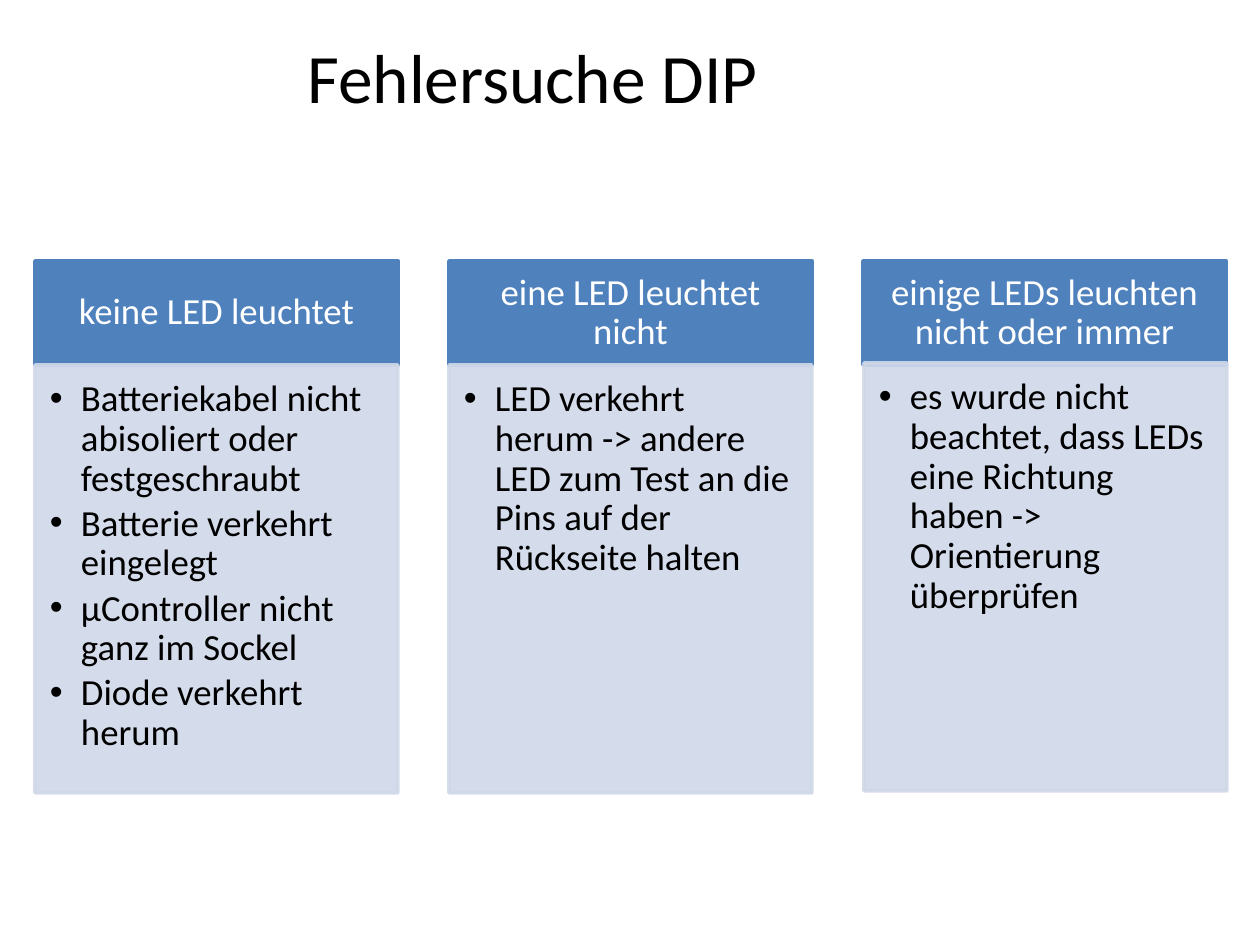
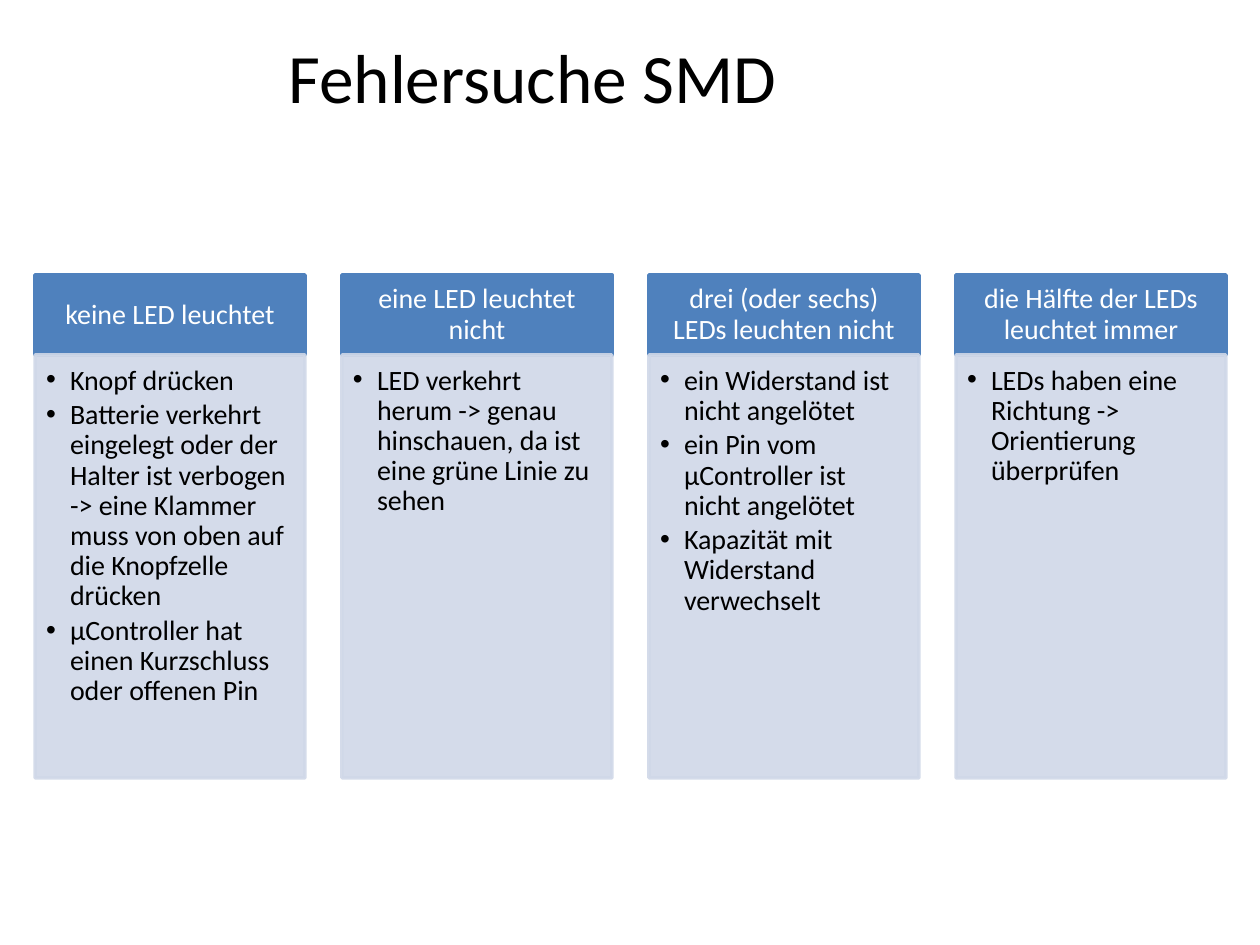
from lxml import etree
from pptx import Presentation
from pptx.dml.color import RGBColor
from pptx.enum.shapes import MSO_SHAPE
from pptx.enum.text import MSO_ANCHOR, PP_ALIGN
from pptx.oxml.ns import qn
from pptx.util import Pt

RECT = MSO_SHAPE.RECTANGLE
LEFT, CENTER = PP_ALIGN.LEFT, PP_ALIGN.CENTER
TOP, MIDDLE = MSO_ANCHOR.TOP, MSO_ANCHOR.MIDDLE
SCALE = 914400 / 126
FONT = "Calibri"
COLORS = {"head": "4F81BD", "body": "D0D8E8", "dark": "000000", "light": "FFFFFF"}
EDGE = 35

WIDE = {
    "size": 21, "width": 363, "pitch": 414, "top": 261, "head": 104, "body": 428,
    "head_pad": (20, 11, 20, 11), "body_pad": (15, 15, 20, 23), "indent": 31,
}
SLIM = {
    "size": 16, "width": 270, "pitch": 307, "top": 275, "head": 80, "body": 423,
    "head_pad": (15, 9, 15, 9), "body_pad": (11, 11, 15, 17), "indent": 24,
}
DIP = [
    ("keine LED leuchtet", [
        "Batteriekabel nicht abisoliert oder festgeschraubt",
        "Batterie verkehrt eingelegt",
        "µController nicht ganz im Sockel",
        "Diode verkehrt herum",
    ], (0, 0)),
    ("eine LED leuchtet nicht", [
        "LED verkehrt herum -> andere LED zum Test an die Pins auf der Rückseite halten",
    ], (0, 0)),
    ("einige LEDs leuchten nicht oder immer", [
        "es wurde nicht beachtet, dass LEDs eine Richtung haben -> Orientierung überprüfen",
    ], (1, -2)),
]
SMD = [
    ("keine LED leuchtet", [
        "Knopf drücken",
        "Batterie verkehrt eingelegt oder der Halter ist verbogen -> eine Klammer "
        "muss von oben auf die Knopfzelle drücken",
        "µController hat einen Kurzschluss oder offenen Pin",
    ], (0, 0)),
    ("eine LED leuchtet nicht", [
        "LED verkehrt herum -> genau hinschauen, da ist eine grüne Linie zu sehen",
    ], (0, 0)),
    ("drei (oder sechs) LEDs leuchten nicht", [
        "ein Widerstand ist nicht angelötet",
        "ein Pin vom µController ist nicht angelötet",
        "Kapazität mit Widerstand verwechselt",
    ], (0, 0)),
    ("die Hälfte der LEDs leuchtet immer", [
        "LEDs haben eine Richtung -> Orientierung überprüfen",
    ], (0, 0)),
]


def px(count):
    return round(count * SCALE)


def rgb(name):
    return RGBColor.from_string(COLORS[name])


def bullet(para, indent):
    props = para._p.get_or_add_pPr()
    props.set("marL", str(px(indent)))
    props.set("indent", str(-px(indent)))
    etree.SubElement(props, qn("a:buFont")).set("typeface", "Arial")
    etree.SubElement(props, qn("a:buChar")).set("char", "•")


def write(shape, lines, size, color="dark", align=LEFT, anchor=TOP,
          pad=None, indent=0, line=None, after=0):
    frame = shape.text_frame
    frame.word_wrap = True
    frame.vertical_anchor = anchor
    if pad:
        (frame.margin_left, frame.margin_top,
         frame.margin_right, frame.margin_bottom) = map(px, pad)
    for i, text in enumerate(lines):
        para = frame.add_paragraph() if i else frame.paragraphs[0]
        para.alignment = align
        para.space_after = Pt(after)
        if line:
            para.line_spacing = line
        if indent:
            bullet(para, indent)
        run = para.add_run()
        run.text = text
        run.font.name = FONT
        run.font.size = Pt(size)
        run.font.color.rgb = rgb(color)


def box(slide, left, top, width, height, color, alpha=100):
    shape = slide.shapes.add_shape(RECT, *map(px, (left, top, width, height)))
    shape.shadow.inherit = False
    shape.fill.solid()
    shape.fill.fore_color.rgb = rgb(color)
    shape.line.color.rgb = rgb(color)
    shape.line.width = Pt(2)
    if alpha < 100:
        for tone in shape._element.spPr.iter(qn("a:srgbClr")):
            etree.SubElement(tone, qn("a:alpha")).set("val", str(alpha * 1000))
    return shape


def title(slide, text):
    shape = slide.shapes.title
    shape.left, shape.top, shape.width, shape.height = map(px, (EDGE, 26, 995, 100))
    write(shape, [text], 39.6, align=CENTER, anchor=MIDDLE)


def card(slide, left, style, head, items, shift):
    size, width, top = style["size"], style["width"], style["top"]
    cap = box(slide, left, top, width, style["head"], "head")
    write(cap, [head], size, color="light", align=CENTER, anchor=MIDDLE,
          pad=style["head_pad"], line=0.9)
    dx, dy = shift
    panel = box(slide, left + dx, top + style["head"] + dy, width, style["body"],
                "body", alpha=90)
    write(panel, items, size, pad=style["body_pad"], indent=style["indent"],
          line=0.9, after=round(0.15 * size, 2))


def page(deck, name, style, cards):
    slide = deck.slides.add_slide(deck.slide_layouts.get_by_name("Title Only"))
    title(slide, name)
    for i, (head, items, shift) in enumerate(cards):
        card(slide, EDGE + i * style["pitch"], style, head, items, shift)


def main():
    """Build the two fault-finding slides."""
    deck = Presentation()
    deck.slide_width, deck.slide_height = px(1260), px(945)
    page(deck, "Fehlersuche DIP", WIDE, DIP)
    page(deck, "Fehlersuche SMD", SLIM, SMD)
    deck.save("out.pptx")


if __name__ == "__main__":
    main()
